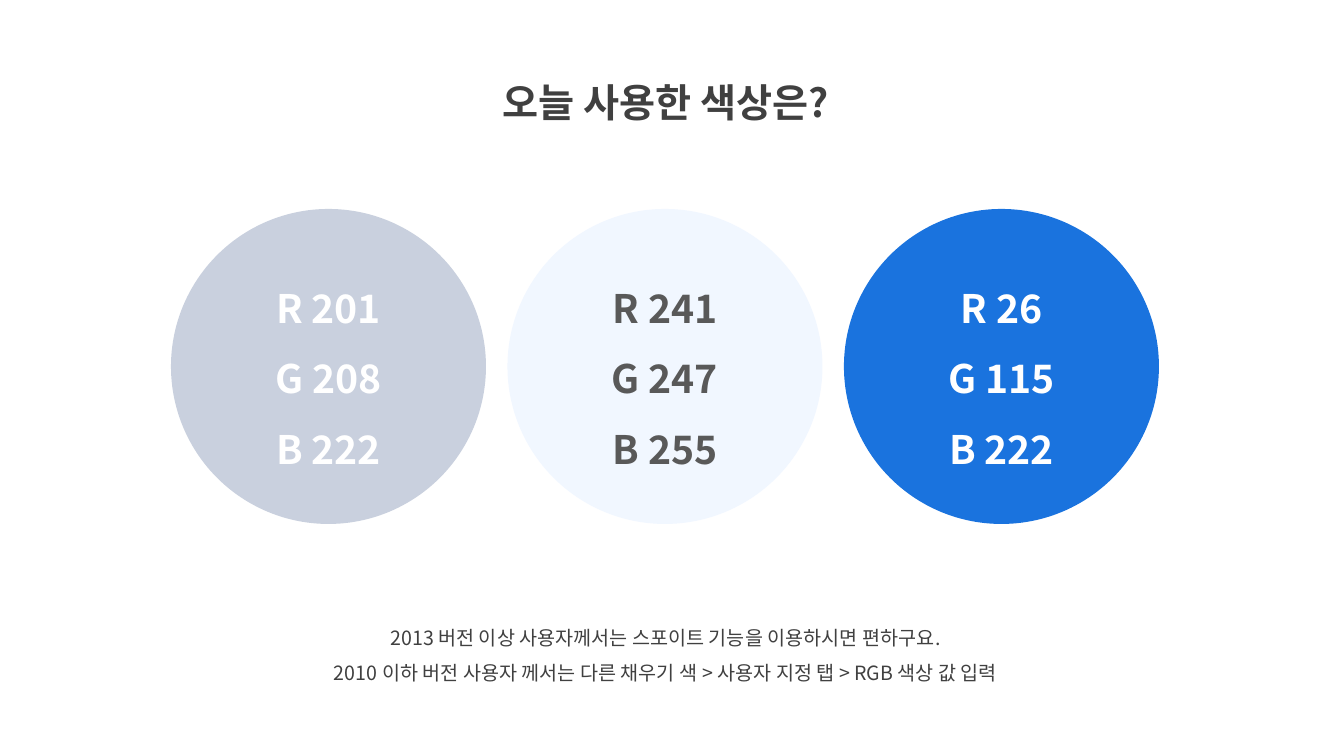
import pptx
import pptx.dml.color
import pptx.enum.shapes
import pptx.enum.text
import pptx.oxml.ns
import pptx.util
import lxml.etree

TITLE = "오늘 사용한 색상은?"
NOTES = [
    "2013 버전 이상 사용자께서는 스포이트 기능을 이용하시면 편하구요.",
    "2010 이하 버전 사용자 께서는 다른 채우기 색 > 사용자 지정 탭 > RGB 색상 값 입력",
]
SWATCHES = [
    ((201, 208, 222), "on_dark"),
    ((241, 247, 255), "on_light"),
    ((26, 115, 222), "on_dark"),
]

THEME = {
    "font": "Noto Sans CJK KR",
    "text": "404040",
    "on_dark": "FFFFFF",
    "on_light": "595959",
    "large": 28,
    "small": 14,
    "line_spacing": 1.5,
}

EMU_PER_INCH = 914400
PX_PER_INCH = 100.8
SLIDE_SIZE = (1344, 756)
TITLE_BOX = (432, 50, 467, 73)
NOTES_BOX = (263, 609, 805, 82)
ROW_LEFT, ROW_TOP, ROW_WIDTH, DIAMETER = 171, 209, 988, 315


def px(length):
    return pptx.util.Emu(round(length * EMU_PER_INCH / PX_PER_INCH))


def place(shape, box):
    for name, length in zip(("left", "top", "width", "height"), box):
        setattr(shape, name, px(length))


def write(shape, lines, size, color, bold, anchor):
    frame = shape.text_frame
    frame_format = {
        "text": "\n".join(lines),
        "word_wrap": True,
        "auto_size": pptx.enum.text.MSO_AUTO_SIZE.NONE,
        "vertical_anchor": anchor,
    }
    for name, value in frame_format.items():
        setattr(frame, name, value)
    paragraph_format = {
        "alignment": pptx.enum.text.PP_ALIGN.CENTER,
        "line_spacing": THEME["line_spacing"],
        "space_before": pptx.util.Pt(0),
    }
    font_format = {
        "name": THEME["font"],
        "size": pptx.util.Pt(THEME[size]),
        "bold": bold,
    }
    for paragraph in frame.paragraphs:
        for name, value in paragraph_format.items():
            setattr(paragraph, name, value)
        properties = paragraph._p.get_or_add_pPr()
        properties.set("marL", "0")
        properties.set("indent", "0")
        lxml.etree.SubElement(properties, pptx.oxml.ns.qn("a:buNone"))
        font = paragraph.runs[0].font
        for name, value in font_format.items():
            setattr(font, name, value)
        font.color.rgb = pptx.dml.color.RGBColor.from_string(THEME[color])
        east_asian = lxml.etree.SubElement(font._element, pptx.oxml.ns.qn("a:ea"))
        east_asian.set("typeface", THEME["font"])


def add_swatches(slide):
    step = (ROW_WIDTH - DIAMETER) / (len(SWATCHES) - 1)
    for index, (rgb, text_color) in enumerate(SWATCHES):
        circle = slide.shapes.add_shape(pptx.enum.shapes.MSO_SHAPE.OVAL, 0, 0, 0, 0)
        place(circle, (ROW_LEFT + index * step, ROW_TOP, DIAMETER, DIAMETER))
        circle.shadow.inherit = False
        circle.fill.solid()
        circle.fill.fore_color.rgb = pptx.dml.color.RGBColor(*rgb)
        circle.line.fill.background()
        lines = [f"{channel} {value}" for channel, value in zip("RGB", rgb)]
        write(circle, lines, "large", text_color, True, pptx.enum.text.MSO_ANCHOR.MIDDLE)


def main():
    presentation = pptx.Presentation()
    presentation.slide_width, presentation.slide_height = map(px, SLIDE_SIZE)
    slide = presentation.slides.add_slide(presentation.slide_layouts[1])
    top = pptx.enum.text.MSO_ANCHOR.TOP
    title, notes = slide.shapes.title, slide.placeholders[1]
    place(title, TITLE_BOX)
    write(title, [TITLE], "large", "text", True, top)
    place(notes, NOTES_BOX)
    write(notes, NOTES, "small", "text", False, top)
    add_swatches(slide)
    presentation.save("out.pptx")


if __name__ == "__main__":
    main()
